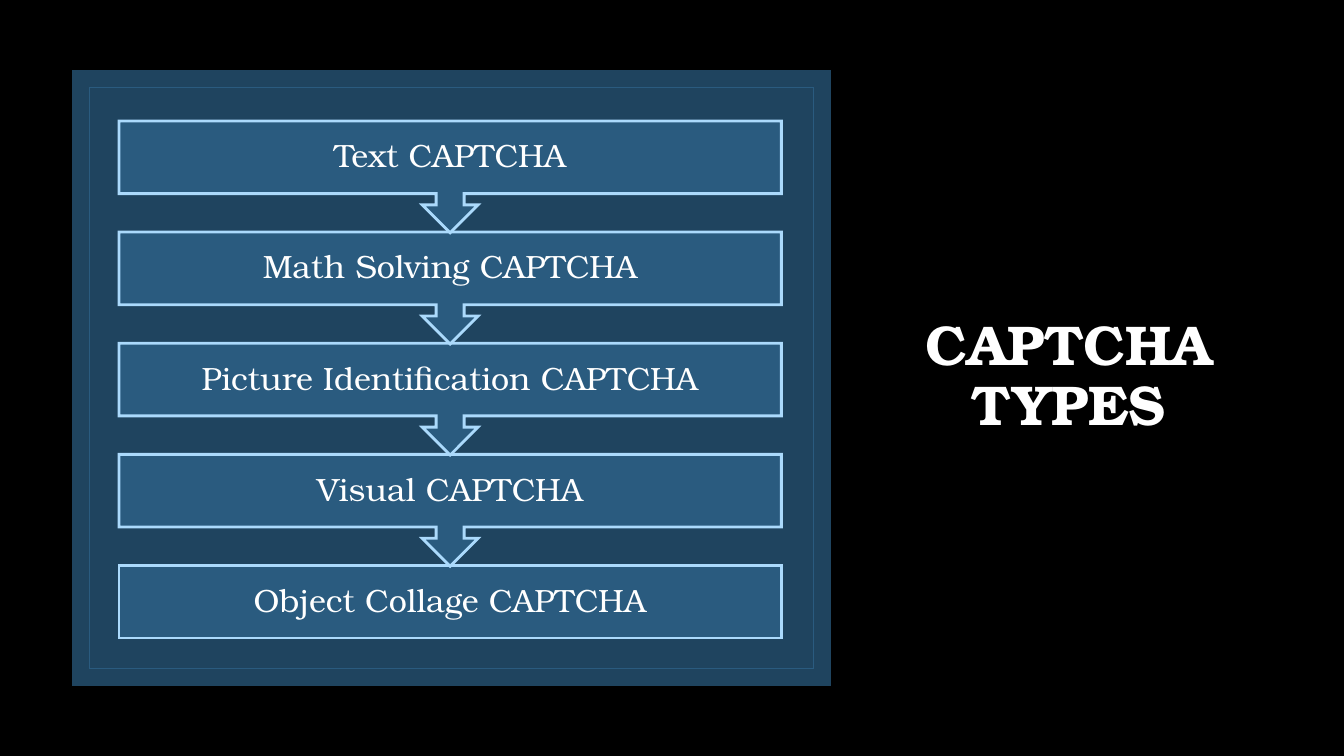
from lxml import etree
from pptx import Presentation
from pptx.dml.color import RGBColor
from pptx.enum import shapes, text
from pptx.oxml.ns import qn
from pptx.util import Inches, Pt

FONT = "TeX Gyre Bonum"
COLORS = {
    "background": "000000",
    "panel": "1F445F",
    "step": "2A5B7F",
    "outline": "ABDAFC",
    "text": "FFFFFF",
}
STEPS = [
    "Text CAPTCHA",
    "Math Solving CAPTCHA",
    "Picture Identification CAPTCHA",
    "Visual CAPTCHA",
    "Object Collage CAPTCHA",
]


def rgb(name):
    return RGBColor.from_string(COLORS[name])


def add_box(s, kind, box, fill, line, width):
    """Add a preset shape with sharp corners; fill None leaves it hollow."""
    sp = s.shapes.add_shape(kind, *map(Inches, box))
    sp.shadow.inherit = False
    if fill:
        sp.fill.solid()
        sp.fill.fore_color.rgb = rgb(fill)
    else:
        sp.fill.background()
    sp.line.color.rgb = rgb(line)
    sp.line.width = Pt(width)
    etree.SubElement(sp.line._get_or_add_ln(), qn("a:miter"), lim="800000")
    return sp


def write_text(sp, wording, size, bold=False, inset=0.1):
    tf = sp.text_frame
    tf.word_wrap = True
    tf.vertical_anchor = text.MSO_ANCHOR.MIDDLE
    tf.margin_left = tf.margin_right = Inches(inset)
    tf.margin_top = tf.margin_bottom = Inches(inset)
    p = tf.paragraphs[0]
    p.text = wording
    p.alignment = text.PP_ALIGN.CENTER
    p.line_spacing = 0.9
    p.font.name = FONT
    p.font.size = Pt(size)
    p.font.bold = bold
    p.font.color.rgb = rgb("text")


def add_panel(s, left, top, width, height):
    """Draw a thick-edged panel with a thin frame just inside it."""
    rect = shapes.MSO_SHAPE.RECTANGLE
    gap = 0.07
    add_box(s, rect, (left, top, width, height), "panel", "panel", 15)
    frame = (left + gap, top + gap, width - 2 * gap, height - 2 * gap)
    add_box(s, rect, frame, None, "step", 1)


def add_steps(s, left, top, width, height):
    """Stack the steps evenly, each one but the last pointing to the next."""
    bar_height, callout_height = 0.72, 1.11
    pitch = (height - bar_height) / (len(STEPS) - 1)
    # Later steps go behind, so every arrow tip lies over the next bar.
    for i, step in reversed(list(enumerate(STEPS))):
        if i == len(STEPS) - 1:
            kind, step_height = shapes.MSO_SHAPE.RECTANGLE, bar_height
        else:
            kind, step_height = shapes.MSO_SHAPE.DOWN_ARROW_CALLOUT, callout_height
        box = (left, top + i * pitch, width, step_height)
        sp = add_box(s, kind, box, "step", "outline", 2)
        write_text(sp, step, 23, inset=0.18)


def add_title(s, left, top, width, height):
    sp = s.shapes.add_textbox(*map(Inches, (left, top, width, height)))
    write_text(sp, "CAPTCHA TYPES", 40, bold=True)


def main():
    prs = Presentation()
    prs.slide_width, prs.slide_height = Inches(13.33), Inches(7.5)
    s = prs.slides.add_slide(prs.slide_layouts[6])
    s.background.fill.solid()
    s.background.fill.fore_color.rgb = rgb("background")
    add_panel(s, 0.82, 0.8, 7.32, 5.9)
    add_title(s, 8.61, 0.69, 3.98, 6.11)
    add_steps(s, 1.18, 1.2, 6.57, 5.13)
    prs.save("out.pptx")


if __name__ == "__main__":
    main()
